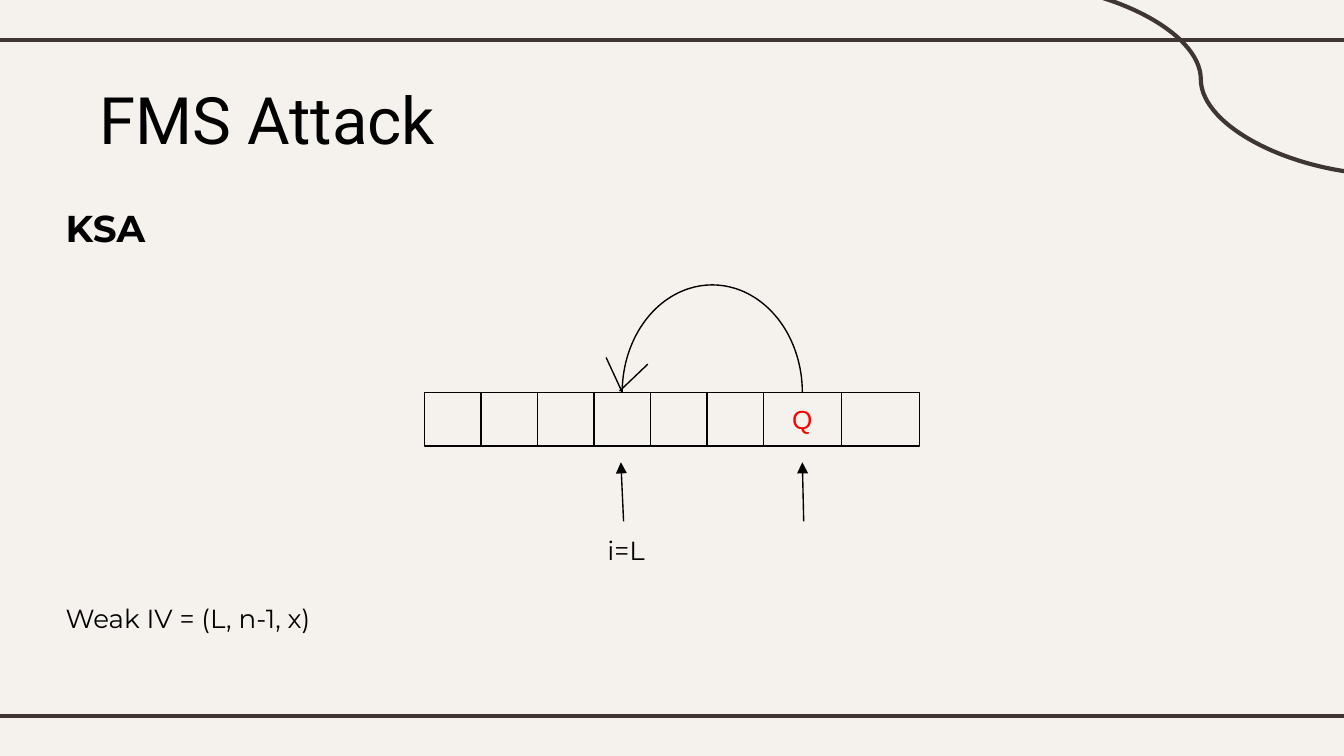
from lxml import etree
from pptx import Presentation
from pptx.dml.color import RGBColor
from pptx.enum.shapes import MSO_CONNECTOR as Connector, MSO_SHAPE as Shape
from pptx.enum.text import MSO_ANCHOR as Anchor, PP_ALIGN as Align
from pptx.oxml.ns import qn
from pptx.util import Inches, Pt

COLORS = {"background": "F5F2EE", "frame": "3F3533", "ink": "000000", "accent": "FF0000"}


def color(name):
    return RGBColor.from_string(COLORS[name])


def add_line(start, end, name="ink", width=0.75, kind=Connector.STRAIGHT, arrow=False):
    """Draw a connector without shadow between two points in inches."""
    line = slide.shapes.add_connector(kind, *map(Inches, start + end))
    line.line.color.rgb = color(name)
    line.line.width = Pt(width)
    etree.SubElement(line._element.spPr, qn("a:effectLst"))
    if arrow:
        etree.SubElement(line.line._get_or_add_ln(), qn("a:tailEnd"), type="triangle")


presentation = Presentation()
presentation.slide_width = Inches(10)
presentation.slide_height = Inches(10) * 9 // 16
slide = presentation.slides.add_slide(presentation.slide_layouts[6])
slide.background.fill.solid()
slide.background.fill.fore_color.rgb = color("background")

# Frame lines and the corner curve
for y in (0.3, 5.33):
    add_line((-0.08, y), (10.08, y), "frame", 2.25)
add_line((7.53, -0.12), (10.34, 1.3), "frame", 2.25, Connector.CURVE)

# Title, heading and labels
texts = [
    ("FMS Attack", (0.64, 0.49, 8.72, 0.63), "Roboto", 35, False),
    ("KSA", (0.39, 1.43, 2.58, 0.54), "Montserrat", 20, True),
    ("i=L", (4.42, 3.88, 0.58, 0.44), "Montserrat", 14, False),
    ("Weak IV = (L, n-1, x)", (0.39, 4.38, 3.6, 0.44), "Montserrat", 14, False),
]
for text, box, font_name, size, bold in texts:
    frame = slide.shapes.add_textbox(*map(Inches, box)).text_frame
    frame.word_wrap = True
    frame.margin_left = frame.margin_right = Inches(0.1)
    frame.margin_top = frame.margin_bottom = Inches(0.1)
    frame.text = text
    font = frame.paragraphs[0].runs[0].font
    font.name, font.size, font.bold = font_name, Pt(size), bold
    font.color.rgb = color("ink")

# Row of state cells: six narrow, two wide
cell_top, cell_height = 2.92, 0.4
left = 3.16
for width, text in [(0.42, "")] * 6 + [(0.58, "Q"), (0.58, "")]:
    cell = slide.shapes.add_shape(
        Shape.RECTANGLE, *map(Inches, (left, cell_top, width, cell_height)))
    cell.shadow.inherit = False
    cell.fill.background()
    cell.line.color.rgb = color("ink")
    cell.line.width = Pt(0.75)
    if text:
        frame = cell.text_frame
        frame.vertical_anchor = Anchor.MIDDLE
        frame.text = text
        paragraph = frame.paragraphs[0]
        paragraph.alignment = Align.CENTER
        font = paragraph.runs[0].font
        font.name, font.size = "Arial", Pt(14)
        font.color.rgb = color("accent")
    left += width

# Pointers below the cells i and Q
add_line((4.64, 3.88), (4.62, 3.44), arrow=True)
add_line((5.98, 3.88), (5.97, 3.44), arrow=True)

# Swap arc from Q back to i: the upper half of an ellipse
arc_left, arc_right, arc_rise = 4.63, 5.97, 0.8
arc = slide.shapes.add_shape(Shape.ARC, *map(Inches, (
    arc_left, cell_top - arc_rise, arc_right - arc_left, 2 * arc_rise)))
arc.adjustments[0] = 180 * 0.6  # a degree is 60000 units, an adjustment 100000
arc.adjustments[1] = 0
arc.shadow.inherit = False
arc.fill.background()
arc.line.color.rgb = color("ink")
arc.line.width = Pt(0.75)

# Open arrowhead of the arc
add_line((4.51, 2.66), (4.63, 2.92))
add_line((4.82, 2.71), (4.61, 2.91))

presentation.save("out.pptx")
